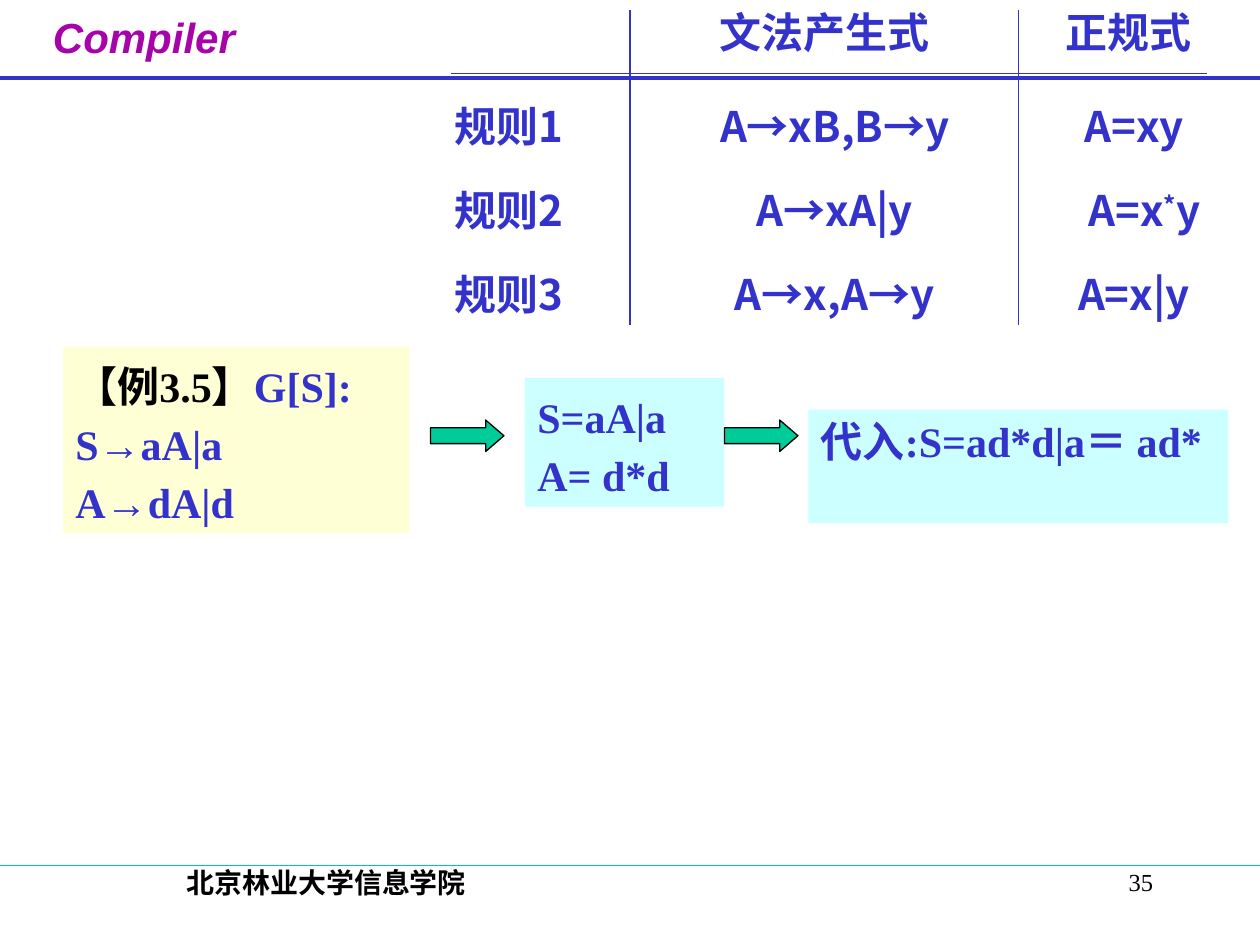
"""Build the slide on turning grammar productions into regular expressions."""
import pptx
import pptx.dml.color
import pptx.enum.shapes
import pptx.enum.text
import pptx.util
import lxml.etree

Pt = pptx.util.Pt
RGB = pptx.dml.color.RGBColor.from_string
Align = pptx.enum.text.PP_ALIGN
Kind = pptx.enum.shapes.MSO_SHAPE
Anchor = pptx.enum.text.MSO_ANCHOR
COLORS = {"blue": "3333CC", "purple": "A603AB", "black": "000000",
          "green": "00CC99", "cream": "FFFFD5", "cyan": "CCFFFF"}
SERIF, SANS = "Times New Roman", "Noto Sans CJK SC"


def write(shape, lines, face=SERIF, size=24, color="blue", bold=True, align=Align.LEFT, gap=1.0):
    """Fill a shape with paragraphs, each a list of runs, in one style."""
    frame = shape.text_frame
    frame.word_wrap = True
    frame.vertical_anchor = Anchor.TOP
    frame.text = "\n".join(line[0] for line in lines)
    for para, line in zip(frame.paragraphs, lines):
        para.alignment, para.line_spacing = align, gap
        for part in line[1:]:
            para.add_run().text = part
        for run in para.runs:
            run.font.name, run.font.size, run.font.bold = face, Pt(size), bold
            run.font.color.rgb = RGB(COLORS[color])
    return frame


def rule(x1, y1, x2, y2, color="blue", width=0.75):
    """Draw a straight line without a shadow."""
    line = shapes.add_connector(pptx.enum.shapes.MSO_CONNECTOR.STRAIGHT,
                                Pt(x1), Pt(y1), Pt(x2), Pt(y2))
    line.line.color.rgb = RGB(COLORS[color])
    line.line.width = Pt(width)
    lxml.etree.SubElement(line._element.spPr, pptx.oxml.ns.qn("a:effectLst"))


deck = pptx.Presentation()
deck.slide_width, deck.slide_height = Pt(720), Pt(540)
slide = deck.slides.add_slide(deck.slide_layouts[6])
shapes = slide.shapes

page = shapes.add_textbox(Pt(516), Pt(492), Pt(150), Pt(36))
write(page, [["35"]], size=14, color="black", bold=False, align=Align.RIGHT)
brand = shapes.add_textbox(Pt(13.5), Pt(3), Pt(137.5), Pt(44.5))
head = write(brand, [["Compiler"]], face="Arial", color="purple", align=Align.CENTER)
head.word_wrap = False
head.paragraphs[0].runs[0].font.italic = True
rule(0, 44.5, 720, 44.5, width=2.25)
school = shapes.add_textbox(Pt(37.5), Pt(491), Pt(298), Pt(36))
write(school, [["北京林业大学信息学院"]], size=16, color="black", align=Align.CENTER)
rule(0, 494.5, 720, 494.5, color="green")

cells = [
    (396, 0, 150, ["文法产生式"]), (600, 0, 90, ["正规式"]),
    (246, 54, 90, ["规则1"]), (396, 54, 162, ["A→xB,B→y"]), (588, 54, 120, ["A=xy"]),
    (246, 102, 90, ["规则2"]), (396, 102, 162, ["A→xA|y"]), (588, 102, 132, ["A=x", "*", "y"]),
    (246, 150, 90, ["规则3"]), (396, 150, 162, ["A→x,A→y"]), (576, 150, 144, ["A=x|y"]),
]
for left, top, width, parts in cells:
    cell = shapes.add_textbox(Pt(left), Pt(top), Pt(width), Pt(36))
    frame = write(cell, [parts], face=SANS, align=Align.CENTER)
    for run in frame.paragraphs[0].runs[1:2]:
        run.font._element.set("baseline", "30000")
rule(258, 42, 690, 42)
for x in (360, 582):
    rule(x, 6, x, 186)

panels = [
    (36, 198, 198, 106.5, "cream", 1.15, [["【例3.5】", "G[S]:"], ["S→aA|a"], ["A→dA|d"]]),
    (300, 216, 114, 73.5, "cyan", 1.15, [["S=aA|a"], ["A= d*d"]]),
    (462, 234, 240, 65, "cyan", 1.0, [["代入:S=ad*d|a＝ ad*"]]),
]
for left, top, width, height, fill, gap, lines in panels:
    panel = shapes.add_shape(Kind.RECTANGLE, Pt(left), Pt(top), Pt(width), Pt(height))
    panel.shadow.inherit = False
    panel.fill.solid()
    panel.fill.fore_color.rgb = RGB(COLORS[fill])
    panel.line.fill.background()
    frame = write(panel, lines, gap=gap)
    if fill == "cream":
        frame.paragraphs[0].runs[0].font.color.rgb = RGB(COLORS["black"])

for left in (246, 414):
    arrow = shapes.add_shape(Kind.RIGHT_ARROW, Pt(left), Pt(240), Pt(42), Pt(18))
    arrow.adjustments[1] = 0.58
    arrow.shadow.inherit = False
    arrow.fill.solid()
    arrow.fill.fore_color.rgb = RGB(COLORS["green"])
    arrow.line.color.rgb = RGB(COLORS["black"])
    arrow.line.width = Pt(0.75)

deck.save("out.pptx")
